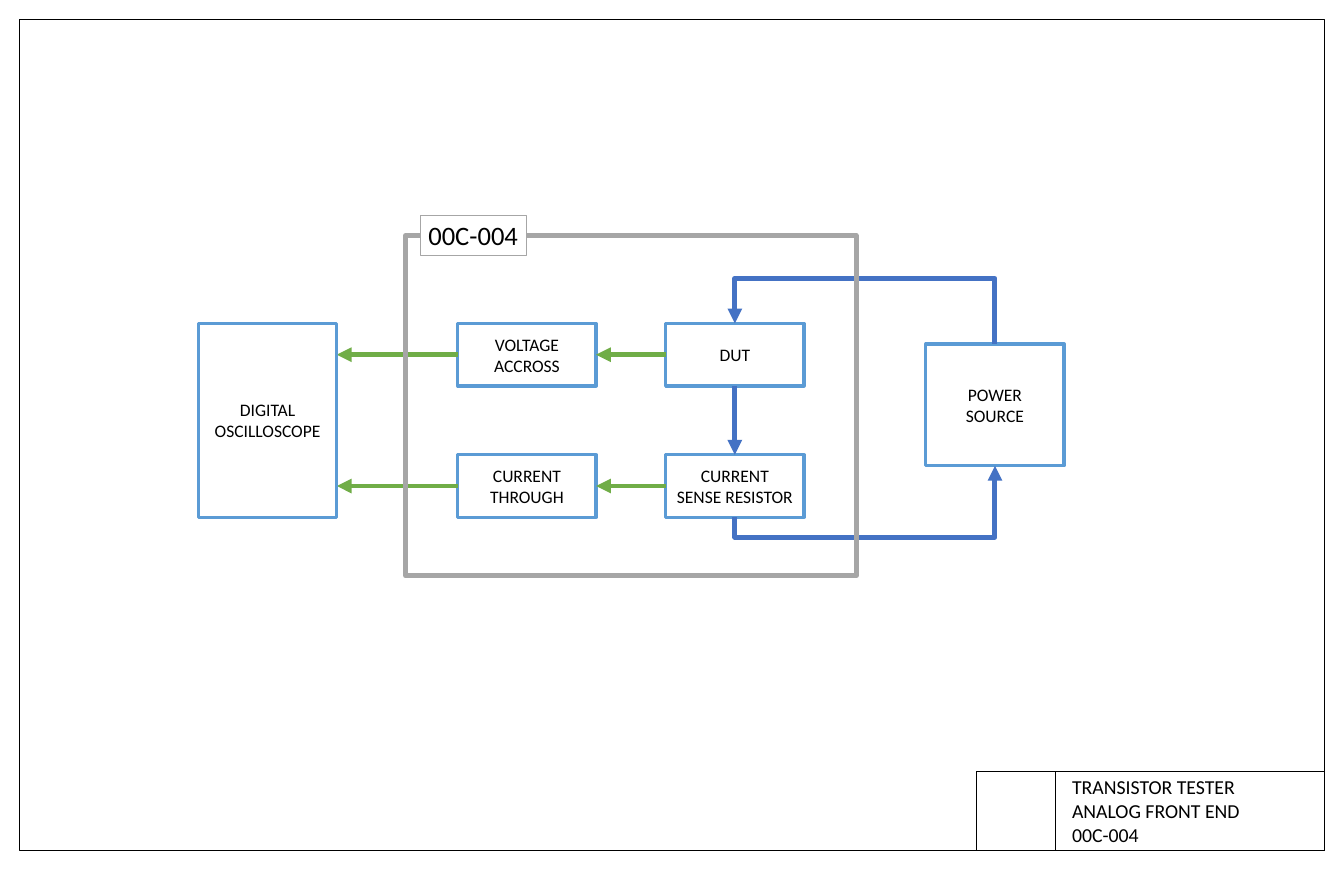
import lxml.etree
import pptx
import pptx.dml.color
import pptx.enum.shapes
import pptx.enum.text
import pptx.oxml.ns
import pptx.util

COLUMNS, ROWS = 17, 11
BLACK, WHITE = "000000", "FFFFFF"
BOX_BLUE, POWER_BLUE, SIGNAL_GREEN, UNIT_GREY = "5B9BD5", "4472C4", "70AD47", "A6A6A6"
TOP, LEFT, BOTTOM, RIGHT = range(4)  # connection sites of a rectangle
ANCHOR = pptx.enum.text.MSO_ANCHOR
ALIGN = pptx.enum.text.PP_ALIGN
CONNECTOR = pptx.enum.shapes.MSO_CONNECTOR


def color(hex_string):
    return pptx.dml.color.RGBColor.from_string(hex_string)


def add_element(parent, tag, **attributes):
    return lxml.etree.SubElement(parent, pptx.oxml.ns.qn(tag), **attributes)


def write_text(shape, text, size=16, align=ALIGN.CENTER, anchor=ANCHOR.MIDDLE, wrap=True):
    frame = shape.text_frame
    frame.text = text
    frame.word_wrap = wrap
    frame.auto_size = pptx.enum.text.MSO_AUTO_SIZE.NONE
    frame.vertical_anchor = anchor
    for paragraph in frame.paragraphs:
        paragraph.alignment = align
        paragraph.line_spacing = 1.0
        for run in paragraph.runs:
            run.font.name = "Calibri"
            run.font.size = pptx.util.Pt(size)
            run.font.color.rgb = color(BLACK)


class Diagram:
    """Draws on one slide; lengths are columns and rows of its grid."""

    def __init__(self, presentation):
        self.slide = presentation.slides.add_slide(presentation.slide_layouts[5])
        self.column = presentation.slide_width / COLUMNS
        self.row = presentation.slide_height / ROWS

    def x(self, columns):
        return round(columns * self.column)

    def y(self, rows):
        return round(rows * self.row)

    def title(self, text, left, top, width, height):
        title = self.slide.shapes.title
        title.left, title.top = self.x(left), self.y(top)
        title.width, title.height = self.x(width), self.y(height)
        write_text(title, text, size=18, align=ALIGN.LEFT, anchor=ANCHOR.TOP)

    def rectangle(self, left, top, width, height, line=BLACK, weight=1, fill=None):
        shape = self.slide.shapes.add_shape(
            pptx.enum.shapes.MSO_SHAPE.RECTANGLE,
            self.x(left), self.y(top), self.x(width), self.y(height))
        shape.shadow.inherit = False
        if fill:
            shape.fill.solid()
            shape.fill.fore_color.rgb = color(fill)
        else:
            shape.fill.background()
        shape.line.color.rgb = color(line)
        shape.line.width = pptx.util.Pt(weight)
        return shape

    def block(self, text, left, top, height, width=1.75):
        shape = self.rectangle(left, top, width, height, BOX_BLUE, 3, WHITE)
        write_text(shape, text)
        return shape

    def arrow(self, begin, end, line, kind=CONNECTOR.STRAIGHT):
        connector = self.slide.shapes.add_connector(
            kind, self.x(begin[0]), self.y(begin[1]), self.x(end[0]), self.y(end[1]))
        connector.line.color.rgb = color(line)
        connector.line.width = pptx.util.Pt(4.5)
        add_element(connector.line._get_or_add_ln(), "a:tailEnd", type="triangle")
        add_element(connector._element.spPr, "a:effectLst")
        return connector

    def link(self, source, source_side, target, target_side, line):
        connector = self.arrow((0, 0), (1, 1), line)
        connector.begin_connect(source, source_side)
        connector.end_connect(target, target_side)

    def detour(self, begin, end, lane, line):
        """Leave and arrive vertically, crossing over along the row called lane."""
        middle_x, middle_y = (begin[0] + end[0]) / 2, (begin[1] + end[1]) / 2
        # An elbow starts horizontally, so its ends are turned back a quarter first.
        turned = [(middle_x + middle_y - y, middle_y + x - middle_x) for x, y in (begin, end)]
        connector = self.arrow(*turned, line, CONNECTOR.ELBOW)
        properties = connector._element.spPr
        properties.find(pptx.oxml.ns.qn("a:xfrm")).set("rot", str(270 * 60000))
        share = (begin[1] - lane) / (begin[1] - end[1])
        adjustments = properties.find(".//" + pptx.oxml.ns.qn("a:avLst"))
        add_element(adjustments, "a:gd", name="adj1", fmla=f"val {round(share * 100000)}")


def draw_title_block(diagram):
    diagram.rectangle(0.25, 0.25, COLUMNS - 0.5, ROWS - 0.5)
    diagram.rectangle(12.35, 9.75, 4.4, 1)
    diagram.title("TRANSISTOR TESTER\nANALOG FRONT END\n00C-004", 13.46, 9.75, 3.29, 1)
    diagram.rectangle(12.35, 9.75, 1, 1)


def draw_circuit(diagram):
    scope_left, meter_left, device_left, source_left = 2.51, 5.79, 8.42, 11.71
    width, height = 1.75, 0.79
    upper, lower = 4.09, 5.75
    source_top, source_height = 4.35, 1.54

    device = diagram.block("DUT", device_left, upper, height)
    voltage = diagram.block("VOLTAGE\vACCROSS", meter_left, upper, height)
    resistor = diagram.block("CURRENT\nSENSE RESISTOR", device_left, lower, height)
    current = diagram.block("CURRENT THROUGH", meter_left, lower, height)
    diagram.block("POWER\nSOURCE", source_left, source_top, source_height)

    diagram.link(device, BOTTOM, resistor, TOP, POWER_BLUE)
    device_x, source_x = device_left + width / 2, source_left + width / 2
    diagram.detour((source_x, source_top), (device_x, upper), 3.52, POWER_BLUE)
    diagram.detour((device_x, lower + height), (source_x, source_top + source_height),
                   6.79, POWER_BLUE)

    for sensed, meter, top in ((device, voltage, upper), (resistor, current, lower)):
        diagram.link(sensed, LEFT, meter, RIGHT, SIGNAL_GREEN)
        middle = top + height / 2
        diagram.arrow((meter_left, middle), (scope_left + width, middle), SIGNAL_GREEN)
    diagram.block("DIGITAL OSCILLOSCOPE", scope_left, upper, lower + height - upper)

    diagram.rectangle(5.13, 2.98, 5.7, 4.3, UNIT_GREY, 4.5)
    label = diagram.rectangle(5.32, 2.72, 1.34, 0.51, UNIT_GREY, 0.75, WHITE)
    write_text(label, "00C-004", size=24.2, align=ALIGN.LEFT, anchor=ANCHOR.TOP, wrap=False)


def main():
    presentation = pptx.Presentation()
    presentation.slide_width = pptx.util.Inches(COLUMNS)
    presentation.slide_height = pptx.util.Inches(ROWS)
    diagram = Diagram(presentation)
    draw_title_block(diagram)
    draw_circuit(diagram)
    presentation.save("out.pptx")


if __name__ == "__main__":
    main()
